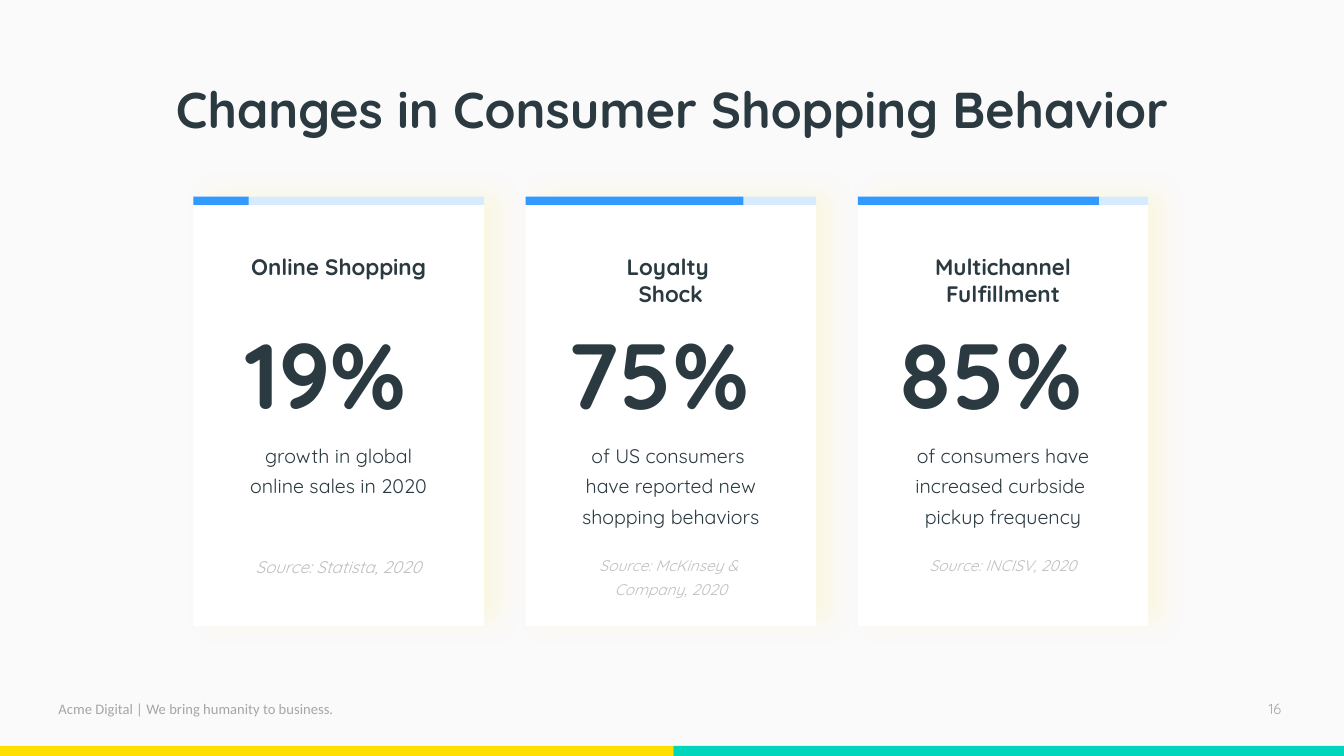
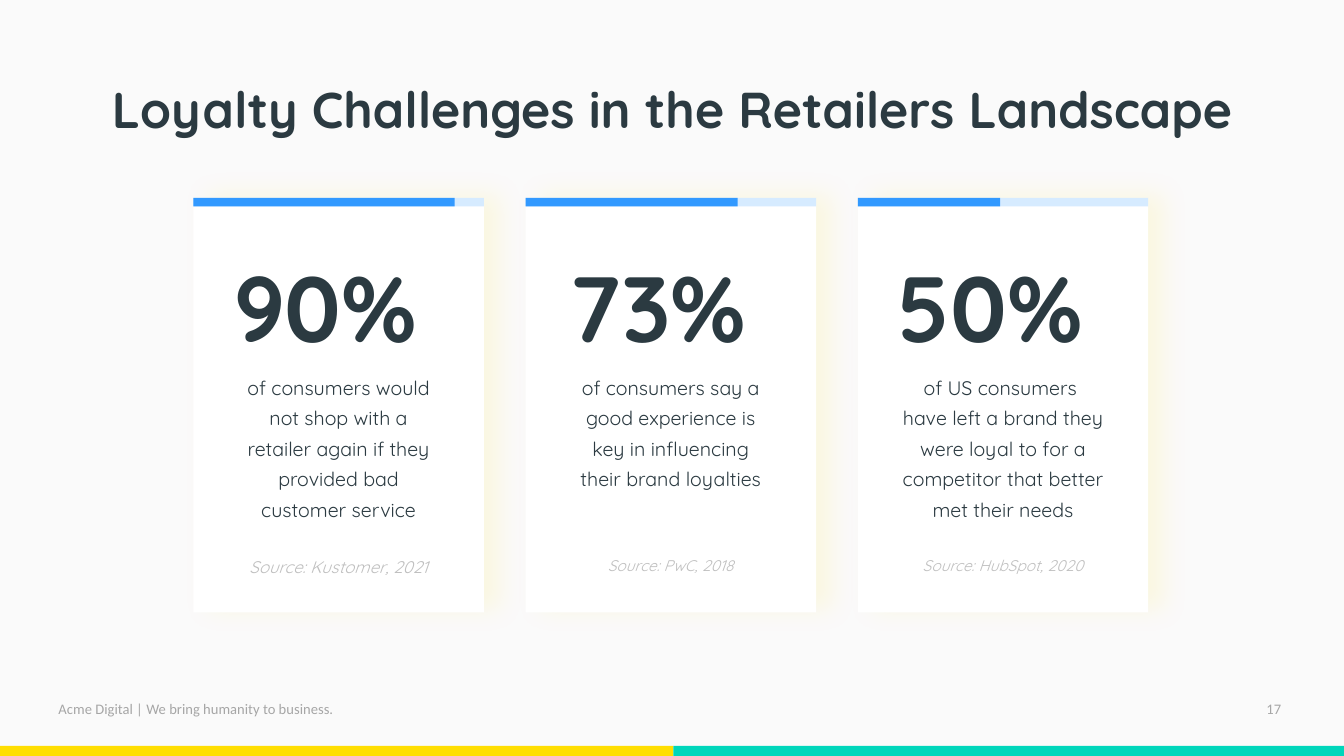
"""Build two slides of consumer statistics, each with three progress cards."""
from dataclasses import dataclass

from lxml import etree
from pptx import Presentation
from pptx.dml.color import RGBColor
from pptx.enum.shapes import MSO_SHAPE
from pptx.enum.text import MSO_ANCHOR, PP_ALIGN
from pptx.oxml.ns import qn
from pptx.util import Pt

RECT = MSO_SHAPE.RECTANGLE
TOP, MIDDLE = MSO_ANCHOR.TOP, MSO_ANCHOR.MIDDLE
LEFT, CENTER, RIGHT = PP_ALIGN.LEFT, PP_ALIGN.CENTER, PP_ALIGN.RIGHT


@dataclass(frozen=True)
class Theme:
    page: str = "FAFAFA"
    card: str = "FFFFFF"
    ink: str = "2B3A41"
    foot: str = "A6A6A6"
    pale: str = "BFBFBF"
    track: str = "D6EBFF"
    bar: str = "3299FF"
    gold: str = "FFDE01"
    teal: str = "00D6BB"
    font: str = "Quicksand"
    plain: str = "Calibri"
    title: float = 36
    number: float = 66
    head: float = 16
    body: float = 14
    small: float = 10.4


T = Theme()


def add_rect(shapes, x, y, w, h, color):
    rect = shapes.add_shape(RECT, Pt(x), Pt(y), Pt(w), Pt(h))
    rect.shadow.inherit = False
    rect.fill.solid()
    rect.fill.fore_color.rgb = RGBColor.from_string(color)
    rect.line.fill.background()
    return rect


def set_text(box, text, size, color=T.ink, font=T.font, bold=False,
             italic=False, align=CENTER, anchor=TOP, space=None):
    frame = box.text_frame
    frame.word_wrap = True
    frame.vertical_anchor = anchor
    frame.text = text
    para = frame.paragraphs[0]
    para.alignment = align
    para.line_spacing = space
    for run in para.runs:
        run.font.name = font
        run.font.size = Pt(size)
        run.font.bold = bold
        run.font.italic = italic
        run.font.color.rgb = RGBColor.from_string(color)


WIDE, HIGH = 960, 540
SPLIT, BAND = 481, 532.8
START, STEP, CARD = 138.2, 237.3, 207.4
STRIP = 6
SOURCE = 390

SLIDES = [
    {
        "title": "Changes in Consumer Shopping Behavior",
        "page": ("16", T.font),
        "top": 140.4, "end": 447.1, "number": 223.2,
        "cards": [
            ("Online Shopping", "19% ", 0.19,
             "growth in global online sales in 2020", 155.5,
             "Source: Statista, 2020", 12),
            ("Loyalty \vShock", "75% ", 0.75,
             "of US consumers \vhave reported new shopping behaviors", 155.5,
             "Source: McKinsey & \vCompany, 2020", 11),
            ("Multichannel Fulfillment", "85% ", 0.83,
             "of consumers have increased curbside \vpickup frequency", 155.5,
             "Source: INCISV, 2020", 11),
        ],
    },
    {
        "title": "Loyalty Challenges in the Retailers Landscape",
        "page": ("17", T.plain),
        "top": 141.4, "end": 437.4, "number": 174.8,
        "cards": [
            (None, "90% ", 0.9,
             "of consumers would not shop with a retailer again if they "
             "provided bad customer service", 155.5,
             "Source: Kustomer, 2021", 12),
            (None, "73% ", 0.73,
             "of consumers say a good experience is key in influencing "
             "their brand loyalties", 155.5,
             "Source: PwC, 2018", 11),
            (None, "50% ", 0.49,
             "of US consumers \vhave left a brand they were loyal to for a "
             "competitor that better met their needs", 171.4,
             "Source: HubSpot, 2020", 11),
        ],
    },
]

prs = Presentation()
prs.slide_width, prs.slide_height = Pt(WIDE), Pt(HIGH)
back = prs.slide_master.background.fill
back.solid()
back.fore_color.rgb = RGBColor.from_string(T.page)

for data in SLIDES:
    slide = prs.slides.add_slide(prs.slide_layouts[5])
    add_rect(slide.shapes, 0, BAND, SPLIT, HIGH - BAND, T.gold)
    add_rect(slide.shapes, SPLIT, BAND, WIDE - SPLIT, HIGH - BAND, T.teal)

    title = slide.shapes.title
    title.left, title.top = Pt(44.5), Pt(52)
    title.width, title.height = Pt(871), Pt(59)
    set_text(title, data["title"], T.title, bold=True)

    foot = slide.shapes.add_textbox(Pt(32.4), Pt(492), Pt(299), Pt(29))
    foot.text_frame.margin_left = foot.text_frame.margin_right = Pt(9.4)
    set_text(foot, "Acme Digital | We bring humanity to business.", T.small,
             T.foot, T.plain, align=LEFT, anchor=MIDDLE)
    page = slide.shapes.add_textbox(Pt(818.6), Pt(492), Pt(103.7), Pt(29))
    label, font = data["page"]
    set_text(page, label, T.small, T.foot, font, align=RIGHT, anchor=MIDDLE)

    top, number = data["top"], data["number"]
    body = number + 85
    for col, (head, stat, share, text, wide, source, size) in enumerate(data["cards"]):
        left = START + col * STEP
        mid = left + CARD / 2
        group = slide.shapes.add_group_shape().shapes

        card = add_rect(group, left, top, CARD, data["end"] - top, T.card)
        effects = card._element.spPr.find(qn("a:effectLst"))
        shadow = etree.SubElement(
            effects, qn("a:outerShdw"), blurRad=str(Pt(18.4)),
            dist=str(Pt(11)), dir=str(345 * 60000), algn="ctr", rotWithShape="0")
        tint = etree.SubElement(shadow, qn("a:srgbClr"), val=T.gold)
        etree.SubElement(tint, qn("a:alpha"), val="10000")

        add_rect(group, left, top, CARD, STRIP, T.track)
        add_rect(group, left, top, CARD * share, STRIP, T.bar)

        parts = [
            (stat, number, CARD, 87, {"size": T.number, "bold": True}),
            (text, body, wide, SOURCE - 7 - body, {"size": T.body, "space": 1.3}),
            (source, SOURCE, CARD, 40,
             {"size": size, "color": T.pale, "italic": True, "space": 1.3}),
        ]
        if head:
            parts.insert(0, (head, 177, 150, 46, {"size": T.head, "bold": True}))
        for words, y, w, h, style in parts:
            box = group.add_textbox(Pt(mid - w / 2), Pt(y), Pt(w), Pt(h))
            set_text(box, words, **style)

prs.save("out.pptx")
